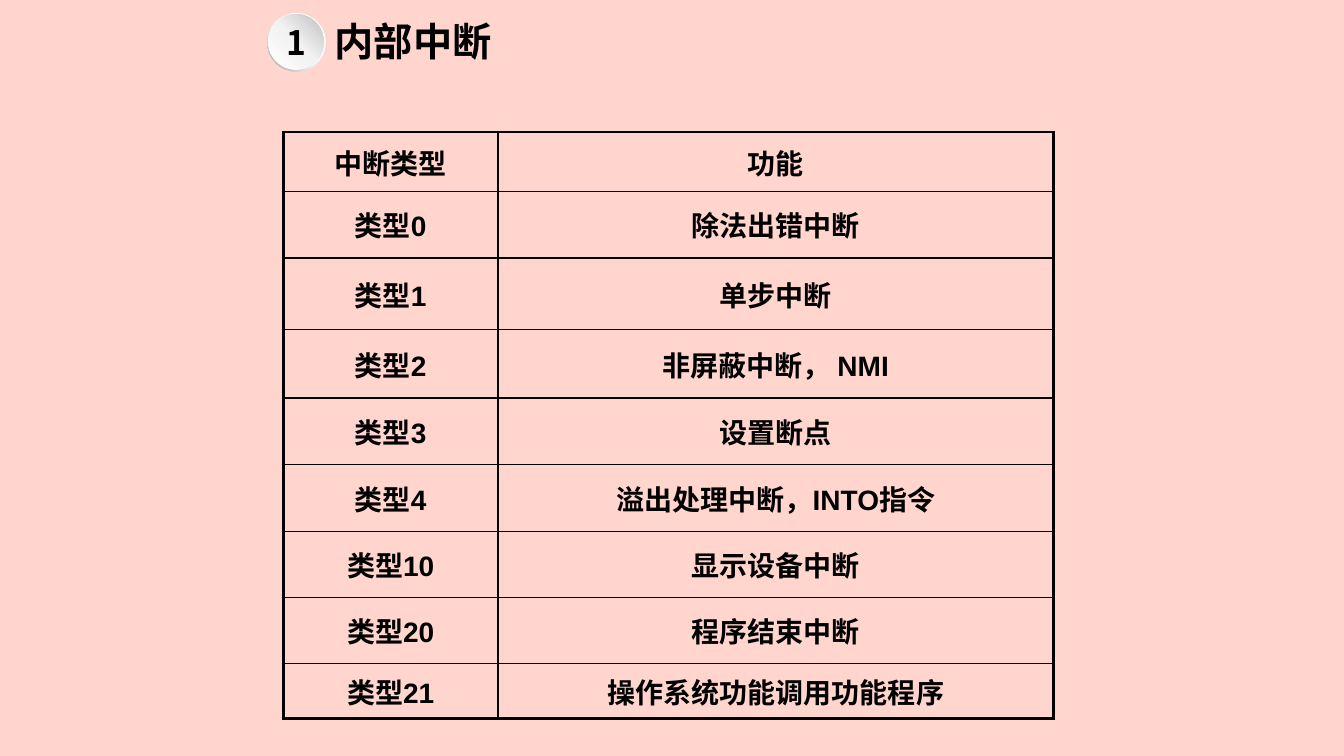
from copy import deepcopy

from lxml.etree import SubElement
from pptx import Presentation
from pptx.dml.color import RGBColor
from pptx.enum.shapes import MSO_SHAPE as Shape
from pptx.enum.text import MSO_ANCHOR as Anchor, MSO_AUTO_SIZE as AutoSize, PP_ALIGN as Align
from pptx.oxml.ns import qn
from pptx.util import Inches, Pt

BLACK = "000000"
CJK_FONT = "Noto Sans CJK SC"
COLUMN_WIDTHS = [2.13, 5.51]
ROW_HEIGHTS = [0.59, 0.66, 0.71, 0.68, 0.66, 0.66, 0.66, 0.65, 0.55]
INTERRUPTS = [
    ("中断类型", "功能"),
    ("类型0", "除法出错中断"),
    ("类型1", "单步中断"),
    ("类型2", "非屏蔽中断， NMI"),
    ("类型3", "设置断点"),
    ("类型4", "溢出处理中断，INTO指令"),
    ("类型10", "显示设备中断"),
    ("类型20", "程序结束中断"),
    ("类型21", "操作系统功能调用功能程序"),
]


def color(value):
    return RGBColor.from_string(value)


def write(text_frame, text, size, font_name, align):
    text_frame.text = text
    paragraph = text_frame.paragraphs[0]
    paragraph.alignment = align
    run = paragraph.runs[0]
    run.font.size = Pt(size)
    run.font.bold = True
    run.font.name = font_name
    run.font.color.rgb = color(BLACK)
    SubElement(run.font._element, qn("a:ea"), typeface=CJK_FONT)


def add_gradient_shape(slide, kind, left, top, size, stops, angle):
    """Add a square-bounded shape with three (position, colour) stops."""
    shape = slide.shapes.add_shape(kind, Inches(left), Inches(top), Inches(size), Inches(size))
    shape.shadow.inherit = False
    shape.line.fill.background()
    shape.fill.gradient()
    shape.fill.gradient_angle = angle
    stop_list = shape._element.spPr.find(".//" + qn("a:gsLst"))
    stop_list.append(deepcopy(stop_list[-1]))
    for stop, (position, value) in zip(shape.fill.gradient_stops, stops):
        stop.position = position
        stop.color.rgb = color(value)
    return shape


def add_badge(slide, number):
    ring = add_gradient_shape(slide, Shape.DONUT, 2.65, 0.13, 0.58,
                              [(0, "FFFFFF"), (0.55, "F2F2F2"), (1, "A6A6A6")], 225)
    ring.adjustments[0] = 0.05
    disc = add_gradient_shape(slide, Shape.OVAL, 2.66, 0.14, 0.55,
                              [(0, "FFFFFF"), (0.51, "F2F2F2"), (1, "BFBFBF")], 45)
    disc.text_frame.vertical_anchor = Anchor.MIDDLE
    write(disc.text_frame, number, 24, CJK_FONT, Align.CENTER)


def set_title(slide, text):
    title = slide.shapes.title
    title.left, title.top = Inches(3.22), Inches(0.12)
    title.width, title.height = Inches(2.32), Inches(0.53)
    title.text_frame.vertical_anchor = Anchor.TOP
    title.text_frame.auto_size = AutoSize.NONE
    write(title.text_frame, text, 28, "Calibri", Align.LEFT)


def set_borders(cell, widths):
    """Draw the left, right, top and bottom borders, in points."""
    properties = cell._tc.get_or_add_tcPr()
    for index, (side, width) in enumerate(zip("LRTB", widths)):
        line = SubElement(properties, qn(f"a:ln{side}"), w=str(Pt(width)))
        fill = SubElement(line, qn("a:solidFill"))
        SubElement(fill, qn("a:srgbClr"), val=BLACK)
        properties.insert(index, line)


def add_table(slide, rows):
    last_row, last_column = len(rows) - 1, len(COLUMN_WIDTHS) - 1
    table = slide.shapes.add_table(
        len(rows), len(COLUMN_WIDTHS), Inches(2.81), Inches(1.31),
        Inches(sum(COLUMN_WIDTHS)), Inches(sum(ROW_HEIGHTS))).table
    table.first_row = table.horz_banding = False
    for column, width in zip(table.columns, COLUMN_WIDTHS):
        column.width = Inches(width)
    for row, height in zip(table.rows, ROW_HEIGHTS):
        row.height = Inches(height)
    for r, texts in enumerate(rows):
        for c, text in enumerate(texts):
            cell = table.cell(r, c)
            cell.vertical_anchor = Anchor.MIDDLE
            cell.fill.background()
            write(cell.text_frame, text, 20, "Arial", Align.CENTER)
            outer_sides = (c == 0, c == last_column, r == 0, r == last_row)
            set_borders(cell, [2.25 if outer else 1 for outer in outer_sides])


def main():
    presentation = Presentation()
    presentation.slide_width, presentation.slide_height = Inches(13.33), Inches(7.5)
    slide = presentation.slides.add_slide(presentation.slide_layouts[5])
    slide.background.fill.solid()
    slide.background.fill.fore_color.rgb = color("FFD5CD")
    set_title(slide, "内部中断")
    add_table(slide, INTERRUPTS)
    add_badge(slide, "1")
    presentation.save("out.pptx")


if __name__ == "__main__":
    main()
